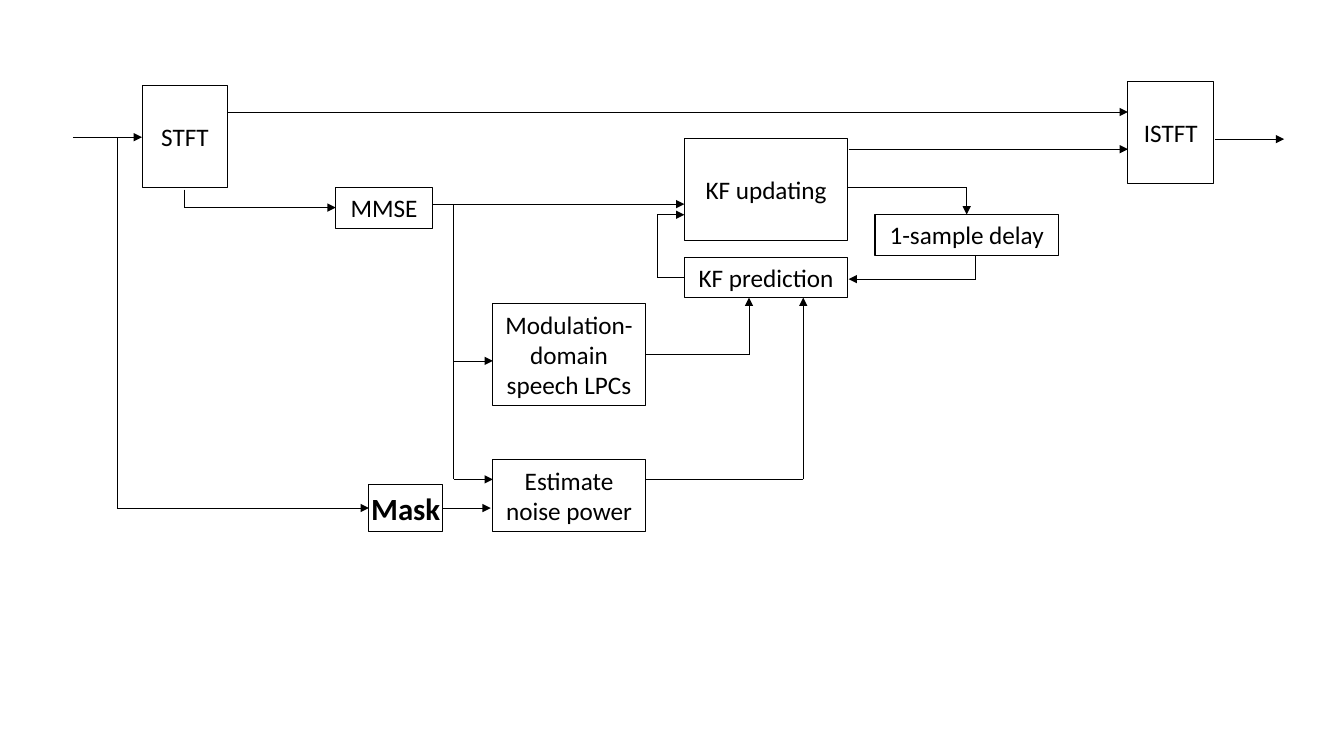
from itertools import pairwise

from lxml import etree
from pptx import Presentation
from pptx.dml.color import RGBColor
from pptx.enum import shapes, text
from pptx.oxml.ns import qn
from pptx.util import Pt

BLACK = RGBColor(0, 0, 0)
FONT = "Calibri"

BOXES = [
    ("STFT", 101.5, 61.2, 61.2, 72.7),
    ("ISTFT", 805.7, 58.3, 61.2, 72.7),
    ("MMSE", 239.8, 133.9, 69.1, 29),
    ("KF updating", 488.9, 98.8, 116.6, 72.7),
    ("KF prediction", 488.9, 183.6, 116.6, 29),
    ("1-sample delay", 625, 153.2, 131, 29),
    ("Modulation-domain speech LPCs", 352.1, 216.7, 108.7, 72.7),
    ("Estimate noise power", 352.1, 328.5, 108.7, 51),
    ("Mask", 263.5, 346.1, 52.6, 33.8),
]
EMPHASIS = {"Mask": 22}
BODY_SIZE = 18

ARROWS = [
    [(52, 98), (101.5, 98)],
    [(162.7, 80), (805.7, 80)],
    [(131.8, 135.4), (131.8, 148.3), (239.8, 148.3)],
    [(308.9, 145.8), (488.9, 145.8)],
    [(324, 257.8), (352.1, 257.8)],
    [(324, 145.8), (324, 342.4), (352.1, 342.4)],
    [(460.8, 253.4), (535, 253.4), (535, 212.6)],
    [(460.8, 342.4), (573.8, 342.4), (573.8, 212.6)],
    [(697, 182.2), (697, 199.4), (606.2, 199.4)],
    [(488.9, 198), (469.4, 198), (469.4, 153.4), (488.9, 153.4)],
    [(605.5, 133.9), (690.5, 133.9), (690.5, 153.2)],
    [(606.2, 106.6), (805.7, 106.6)],
    [(867.6, 99.4), (917.3, 99.4)],
    [(83.5, 98), (83.5, 362.9), (263.5, 362.9)],
    [(316.1, 362.9), (350.6, 362.9)],
]


def add_box(s, label, *bounds):
    sp = s.shapes.add_shape(shapes.MSO_SHAPE.RECTANGLE, *map(Pt, bounds))
    sp.shadow.inherit = False
    sp.fill.background()
    sp.line.color.rgb = BLACK
    sp.line.width = Pt(0.75)
    tf = sp.text_frame
    tf.word_wrap = label not in EMPHASIS
    tf.vertical_anchor = text.MSO_ANCHOR.MIDDLE
    tf.text = label
    p = tf.paragraphs[0]
    p.alignment = text.PP_ALIGN.CENTER
    font = p.runs[0].font
    font.name = FONT
    font.size = Pt(EMPHASIS.get(label, BODY_SIZE))
    font.bold = label in EMPHASIS
    font.color.rgb = BLACK


def add_line(s, start, end):
    c = s.shapes.add_connector(
        shapes.MSO_CONNECTOR.STRAIGHT, *map(Pt, start + end))
    c.line.color.rgb = BLACK
    c.line.width = Pt(0.5)
    etree.SubElement(c._element.spPr, qn("a:effectLst"))
    return c


def add_arrow(s, points):
    for start, end in pairwise(points):
        c = add_line(s, start, end)
    etree.SubElement(c.line._get_or_add_ln(), qn("a:tailEnd"), type="triangle")


def main():
    prs = Presentation()
    prs.slide_width, prs.slide_height = Pt(960), Pt(540)
    s = prs.slides.add_slide(prs.slide_layouts[6])
    for box in BOXES:
        add_box(s, *box)
    for points in ARROWS:
        add_arrow(s, points)
    prs.save("out.pptx")


if __name__ == "__main__":
    main()
